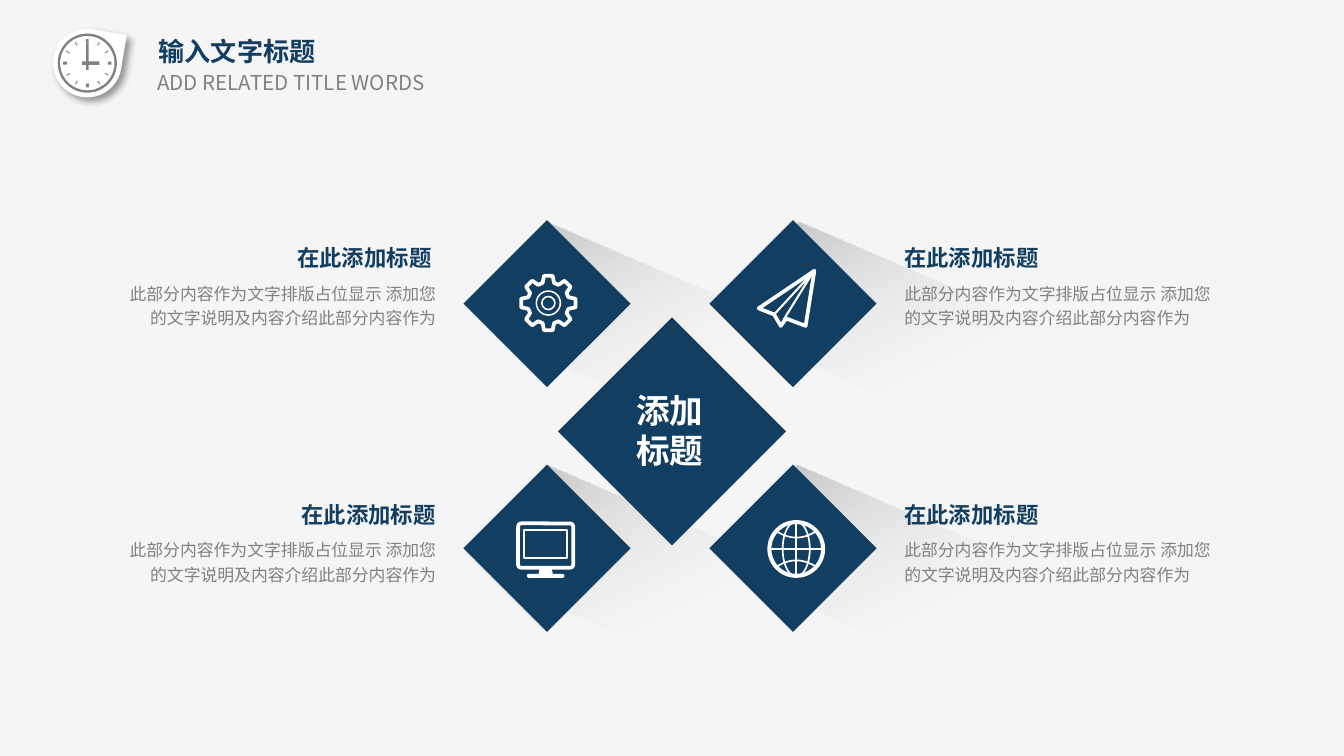
from math import cos, radians, sin
from pptx import Presentation
from pptx.dml.color import RGBColor
from pptx.enum.shapes import MSO_CONNECTOR, MSO_SHAPE
from pptx.enum.text import MSO_AUTO_SIZE, PP_ALIGN
from pptx.oxml import parse_xml
from pptx.oxml.ns import nsdecls
from pptx.util import Inches, Pt

RECT, OVAL, RING = MSO_SHAPE.RECTANGLE, MSO_SHAPE.OVAL, MSO_SHAPE.DONUT
ROUND, DROP, STAND = MSO_SHAPE.ROUNDED_RECTANGLE, MSO_SHAPE.TEAR, MSO_SHAPE.TRAPEZOID
LEFT, RIGHT, CENTER, JUSTIFY = PP_ALIGN.LEFT, PP_ALIGN.RIGHT, PP_ALIGN.CENTER, PP_ALIGN.JUSTIFY
STRAIGHT, GROW = MSO_CONNECTOR.STRAIGHT, MSO_AUTO_SIZE.SHAPE_TO_FIT_TEXT
NAVY, GREY, WHITE = "123E61", "808080", "FFFFFF"
FONT = "Noto Sans CJK SC"
rgb = RGBColor.from_string

prs = Presentation()
prs.slide_width = Inches(10)
prs.slide_height = prs.slide_width * 9 // 16
U = prs.slide_width // 100
s = prs.slides.add_slide(prs.slide_layouts[6])
s.background.fill.solid()
s.background.fill.fore_color.rgb = rgb("F5F5F6")


def shape(kind, cx, cy, w, h, fill=None, rot=0, line=0, adj=None):
    sp = s.shapes.add_shape(kind, int((cx - w / 2) * U), int((cy - h / 2) * U), int(w * U), int(h * U))
    sp.shadow.inherit = False
    sp.rotation = rot
    if fill:
        sp.fill.solid()
        sp.fill.fore_color.rgb = rgb(fill)
    else:
        sp.fill.background()
    if line:
        sp.line.color.rgb = rgb(WHITE)
        sp.line.width = Pt(line)
    else:
        sp.line.fill.background()
    if adj is not None:
        sp.adjustments[0] = adj
    return sp


def text(x, y, w, h, lines, size, color, bold=False, align=LEFT, spacing=None, wrap=True, inset=(1, 0.5)):
    tf = s.shapes.add_textbox(int(x * U), int(y * U), int(w * U), int(h * U)).text_frame
    tf.word_wrap = wrap
    tf.auto_size = GROW
    tf.margin_left = tf.margin_right = int(inset[0] * U)
    tf.margin_top = tf.margin_bottom = int(inset[1] * U)
    for i, line in enumerate(lines):
        p = tf.add_paragraph() if i else tf.paragraphs[0]
        p.alignment = align
        if spacing:
            p.line_spacing = spacing
        r = p.add_run()
        r.text = line
        r.font.size = Pt(size)
        r.font.bold = bold
        r.font.color.rgb = rgb(color)
        r.font.name = FONT
        r.font._element.append(parse_xml(f'<a:ea {nsdecls("a")} typeface="{FONT}"/>'))


text(11.2, 2.3, 21.5, 2.9, ["输入文字标题"], 14, NAVY, True, inset=(0.6, 0.3))
text(10.7, 4.7, 25.2, 2.9, ["ADD RELATED TITLE WORDS"], 11, GREY, align=JUSTIFY)

CX, CY = 6.5, 4.7
badge = shape(DROP, CX, CY, 5.1, 5.1, WHITE, 9.5)
effects = badge._element.spPr.find("{*}effectLst")
effects.append(parse_xml(
    f'<a:outerShdw {nsdecls("a")} blurRad="50800" dist="38100" dir="2700000" algn="tl" rotWithShape="0">'
    '<a:srgbClr val="000000"><a:alpha val="40000"/></a:srgbClr></a:outerShdw>'))
shape(RING, CX, CY, 4.4, 4.4, GREY, adj=0.04)
for hour in range(12):
    a = radians(hour * 30)
    width = 0.08 if hour % 3 else 0.22
    shape(RECT, CX + 1.66 * sin(a), CY - 1.66 * cos(a), width, 0.27, GREY, hour * 30)
shape(RECT, CX, 4.2, 0.2, 2, GREY)
shape(RECT, 6.75, CY, 1.3, 0.27, GREY)

for left, top in ((55.9, 41.4), (37.3, 41.4), (56.1, 23.3), (37.3, 23.3)):
    sp = shape(RECT, left + 18.2, top + 4.7, 36.4, 9.4, rot=23.3)
    spPr = sp._element.spPr
    spPr.replace(spPr.find("{*}noFill"), parse_xml(
        f'<a:gradFill {nsdecls("a")} rotWithShape="1"><a:gsLst>'
        '<a:gs pos="0"><a:srgbClr val="2889D6"><a:alpha val="54000"/></a:srgbClr></a:gs>'
        '<a:gs pos="0"><a:srgbClr val="BFBFBF"/></a:gs>'
        '<a:gs pos="54000"><a:srgbClr val="FFFFFF"><a:alpha val="0"/></a:srgbClr></a:gs>'
        '</a:gsLst><a:lin ang="2400000" scaled="0"/></a:gradFill>'))

BODY = "此部分内容作为文字排版占位显示 添加您的文字说明及内容介绍此部分内容作为"
for cx, cy, title_x, body_x, align in (
        (59, 22.6, 66.3, 66.3, LEFT), (59, 40.8, 66.3, 66.3, LEFT),
        (40.7, 22.6, 14.4, 7.9, RIGHT), (40.7, 40.8, 14.7, 7.9, RIGHT)):
    title_y = 17.7 if cy < 30 else 36.8
    shape(RECT, cx, cy, 8.8, 8.8, NAVY, 45)
    text(title_x, title_y, 18.7, 3, ["在此添加标题"], 12, NAVY, True, align)
    text(body_x, title_y + 2.6, 25.5, 4.5, [BODY], 9, GREY, False, align, 1.2)

GX, GY = 40.8, 22.55
shape(RING, GX, GY, 1.9, 1.9, WHITE, adj=0.06)
shape(RING, GX, GY, 1.1, 1.1, WHITE, adj=0.11)
gear = [(GX + r * sin(radians(tooth + a)), GY - r * cos(radians(tooth + a)))
        for tooth in range(0, 360, 45)
        for r, a in ((1.55, -16), (2.05, -9), (2.05, 9), (1.55, 16))]
plane = [(56.45, 22.95), (60.6, 20.15), (59.95, 24.25), (58.5, 23.7), (58.1, 24.25), (57.6, 23.4)]
folds = [(57.6, 23.4), (60.5, 20.25), (58.3, 23.8)]

EX, EY = 59.25, 40.85
shape(RING, EX, EY, 4.3, 4.3, WHITE, adj=0.07)
shape(RING, EX, EY, 2.15, 4.2, WHITE, adj=0.06)
for dx, dy in ((2, 0), (0, 2)):
    ends = (EX - dx, EY - dy, EX + dx, EY + dy)
    cn = s.shapes.add_connector(STRAIGHT, *(int(v * U) for v in ends))
    cn.line.color.rgb = rgb(WHITE)
    cn.line.width = Pt(0.9)
    cn._element.spPr.append(parse_xml(f'<a:effectLst {nsdecls("a")}/>'))
parallels = [[(EX + 1.4 * t / 6, EY + side * (0.85 + 0.42 * (t / 6) ** 2)) for t in range(-6, 7)]
             for side in (-1, 1)]

for points, closed, weight in ((gear, True, 2), (plane, True, 2), (folds, False, 1.1),
                               (parallels[0], False, 0.9), (parallels[1], False, 0.9)):
    points = [(int(x * U), int(y * U)) for x, y in points]
    fb = s.shapes.build_freeform(*points[0])
    fb.add_line_segments(points[1:], close=closed)
    sp = fb.convert_to_shape()
    sp.shadow.inherit = False
    sp.fill.background()
    sp.line.color.rgb = rgb(WHITE)
    sp.line.width = Pt(weight)

MX = 40.6
shape(ROUND, MX, 40.6, 4.1, 3.3, line=2, adj=0.07)
shape(RECT, MX, 40.5, 3.2, 2.1, line=0.9)
shape(STAND, MX, 42.55, 1.1, 0.4, WHITE)
shape(ROUND, MX, 42.85, 2.8, 0.3, WHITE, adj=0.5)

shape(RECT, 50, 32.1, 12, 12, NAVY, 45)
text(46.3, 28.5, 7.1, 7.1, ["添加", "标题"], 18, WHITE, True, CENTER, wrap=False)

prs.save("out.pptx")
